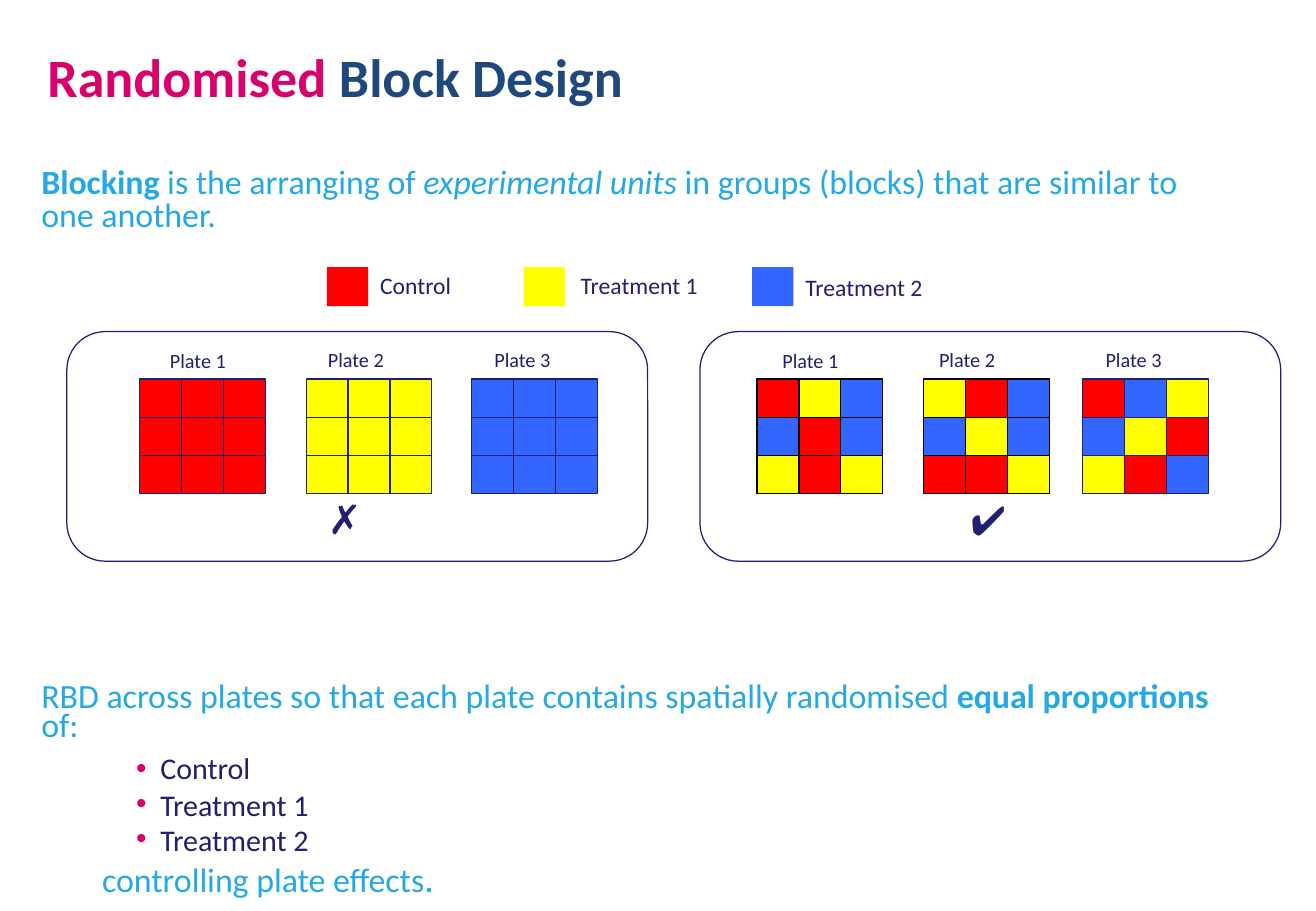
from lxml import etree
from pptx import Presentation
from pptx.dml.color import RGBColor
from pptx.enum.shapes import MSO_SHAPE
from pptx.enum.text import MSO_ANCHOR, MSO_AUTO_SIZE, PP_ALIGN
from pptx.oxml.ns import qn
from pptx.util import Pt

RECT, ROUNDED = MSO_SHAPE.RECTANGLE, MSO_SHAPE.ROUNDED_RECTANGLE
LEFT, TOP = PP_ALIGN.LEFT, MSO_ANCHOR.TOP
NO_FIT, GROW = MSO_AUTO_SIZE.NONE, MSO_AUTO_SIZE.SHAPE_TO_FIT_TEXT

PINK = RGBColor(0xD8, 0x00, 0x6B)
TITLE_BLUE = RGBColor(0x1F, 0x49, 0x7D)
SKY = RGBColor(0x24, 0xA8, 0xE6)
NAVY = RGBColor(0x21, 0x1F, 0x70)
BLACK = RGBColor(0x00, 0x00, 0x00)
RED = RGBColor(0xFF, 0x00, 0x00)
YELLOW = RGBColor(0xFF, 0xFF, 0x00)
BLUE = RGBColor(0x33, 0x66, 0xFF)
TREATMENTS = {"R": RED, "Y": YELLOW, "B": BLUE}

SCALE = 914400 // 200  # EMU per px, 200 px to the inch
CELL_W, CELL_H = 69, 63


def px(*lengths):
    return [length * SCALE for length in lengths]


def add_run(paragraph, text, size, color, font="Calibri", bold=False, italic=False):
    run = paragraph.add_run()
    run.text = text
    settings = {"name": font, "size": Pt(size), "bold": bold, "italic": italic}
    for attribute, value in settings.items():
        setattr(run.font, attribute, value)
    run.font.color.rgb = color


def set_spacing(paragraph, line, after=0, before=0):
    settings = {"alignment": LEFT, "line_spacing": line,
                "space_before": Pt(before), "space_after": Pt(after)}
    for attribute, value in settings.items():
        setattr(paragraph, attribute, value)


def set_bullet(paragraph, margin, indent=0, bullet=None):
    """Set the indents, and a pink bullet or none at all."""
    properties = paragraph._p.get_or_add_pPr()
    properties.set("marL", str(margin * SCALE))
    properties.set("indent", str(indent * SCALE))
    if bullet is None:
        etree.SubElement(properties, qn("a:buNone"))
        return
    color = etree.SubElement(properties, qn("a:buClr"))
    etree.SubElement(color, qn("a:srgbClr")).set("val", str(PINK))
    etree.SubElement(properties, qn("a:buFont")).set("typeface", "Arial")
    etree.SubElement(properties, qn("a:buChar")).set("char", bullet)


def place_placeholder(placeholder, box):
    for attribute, value in zip(("left", "top", "width", "height"), px(*box)):
        setattr(placeholder, attribute, value)
    frame = placeholder.text_frame
    settings = {"margin_left": 0, "margin_top": 0, "margin_right": 0, "margin_bottom": 0,
                "vertical_anchor": TOP, "auto_size": NO_FIT, "word_wrap": True}
    for attribute, value in settings.items():
        setattr(frame, attribute, value)
    return frame


def add_label(slide, box, text, size, font="Calibri", line=1.0, wrap=False):
    frame = slide.shapes.add_textbox(*px(*box)).text_frame
    frame.word_wrap = wrap
    frame.auto_size = GROW
    set_spacing(frame.paragraphs[0], line)
    add_run(frame.paragraphs[0], text, size, NAVY, font)


def add_box(shapes, kind, box, fill=None, line=None):
    shape = shapes.add_shape(kind, *px(*box))
    shape.shadow.inherit = False
    if fill is None:
        shape.fill.background()
    else:
        shape.fill.solid()
        shape.fill.fore_color.rgb = fill
    if line is None:
        shape.line.fill.background()
    else:
        shape.line.color.rgb = line
        shape.line.width = Pt(0.75)


def add_title(slide, box):
    heading = place_placeholder(slide.shapes.title, box).paragraphs[0]
    set_spacing(heading, Pt(36))
    add_run(heading, "Randomised", 32, PINK, bold=True)
    add_run(heading, " Block Design", 32, TITLE_BLUE, bold=True)


def add_explanation(slide, box):
    """Fill the body, leaving room for the plates after its first paragraph."""
    frame = place_placeholder(slide.placeholders[1], box)
    blocking = frame.paragraphs[0]
    set_spacing(blocking, 0.8, after=6)
    set_bullet(blocking, 0)
    add_run(blocking, "Blocking", 20.1, SKY, bold=True)
    add_run(blocking, " is the arranging of ", 20.1, SKY)
    add_run(blocking, "experimental units ", 20.1, SKY, italic=True)
    add_run(blocking, "in groups (blocks) that are similar to one another.", 20.1, SKY)

    proportions = frame.add_paragraph()
    set_spacing(proportions, 0.7, after=6, before=262)
    set_bullet(proportions, 0)
    add_run(proportions, "RBD across plates so that each plate contains spatially randomised ",
            20.1, SKY)
    add_run(proportions, "equal proportions", 20.1, SKY, bold=True)
    add_run(proportions, " of:", 20.1, SKY)

    for text, line in (("Control", 0.9), ("Treatment 1", 0.7), ("Treatment 2", 0.7)):
        treatment = frame.add_paragraph()
        treatment.level = 2
        set_spacing(treatment, line, after=6)
        set_bullet(treatment, 196, -40, "•")
        add_run(treatment, text, 17.8, NAVY)

    purpose = frame.add_paragraph()
    set_spacing(purpose, 0.7, after=6)
    set_bullet(purpose, 100)
    add_run(purpose, "controlling plate effects", 20.1, SKY)
    add_run(purpose, ".", 22.5, SKY)


def add_legend(slide, left, top):
    entries = (("Control", RED, 0, 68, -4, 160),
               ("Treatment 1", YELLOW, 324, 398, -4, 238),
               ("Treatment 2", BLUE, 700, 768, 0, 238))
    for text, color, swatch_x, text_x, text_y, width in entries:
        add_box(slide.shapes, RECT, (left + swatch_x, top, 68, 64), color)
        add_label(slide, (left + text_x, top + text_y, width, 68), text, 14)


def add_plate(slide, left, top, wells, line):
    """Draw a plate from rows of treatment letters."""
    plate = slide.shapes.add_group_shape()
    for row, letters in enumerate(wells.split()):
        for column, letter in enumerate(letters):
            well = (left + column * CELL_W, top + row * CELL_H, CELL_W, CELL_H)
            add_box(plate.shapes, RECT, well, TREATMENTS[letter], line)


def add_panel(slide, box, plates):
    left, top = box[:2]
    add_box(slide.shapes, ROUNDED, box, line=NAVY)
    for number, (wells, line, plate_x, label_x) in enumerate(plates, 1):
        add_plate(slide, left + plate_x, top + 78, wells, line)
        label_y = 18 if number == 1 else 16
        add_label(slide, (left + label_x, top + label_y, 134, 60), f"Plate {number}", 12)


def main():
    deck = Presentation()
    deck.slide_width, deck.slide_height = px(2166, 1500)
    slide = deck.slides.add_slide(deck.slide_layouts[1])
    add_title(slide, (78, 78, 1842, 250))
    add_explanation(slide, (68, 278, 1936, 1184))
    add_legend(slide, 538, 440)
    add_panel(slide, (110, 546, 956, 378), (
        ("RRR RRR RRR", NAVY, 120, 150),
        ("YYY YYY YYY", NAVY, 394, 410),
        ("BBB BBB BBB", NAVY, 666, 684)))
    add_panel(slide, (1152, 546, 956, 378), (
        ("RYB BRB YRY", BLACK, 94, 116),
        ("YRB BYB RRY", BLACK, 368, 374),
        ("RBY BYR YRB", NAVY, 630, 648)))
    add_label(slide, (520, 844, 86, 60), "✗", 24, "Arial", line=0.4)
    add_label(slide, (1578, 806, 170, 100), "✔", 24, "Arial", wrap=True)
    deck.save("out.pptx")


if __name__ == "__main__":
    main()
